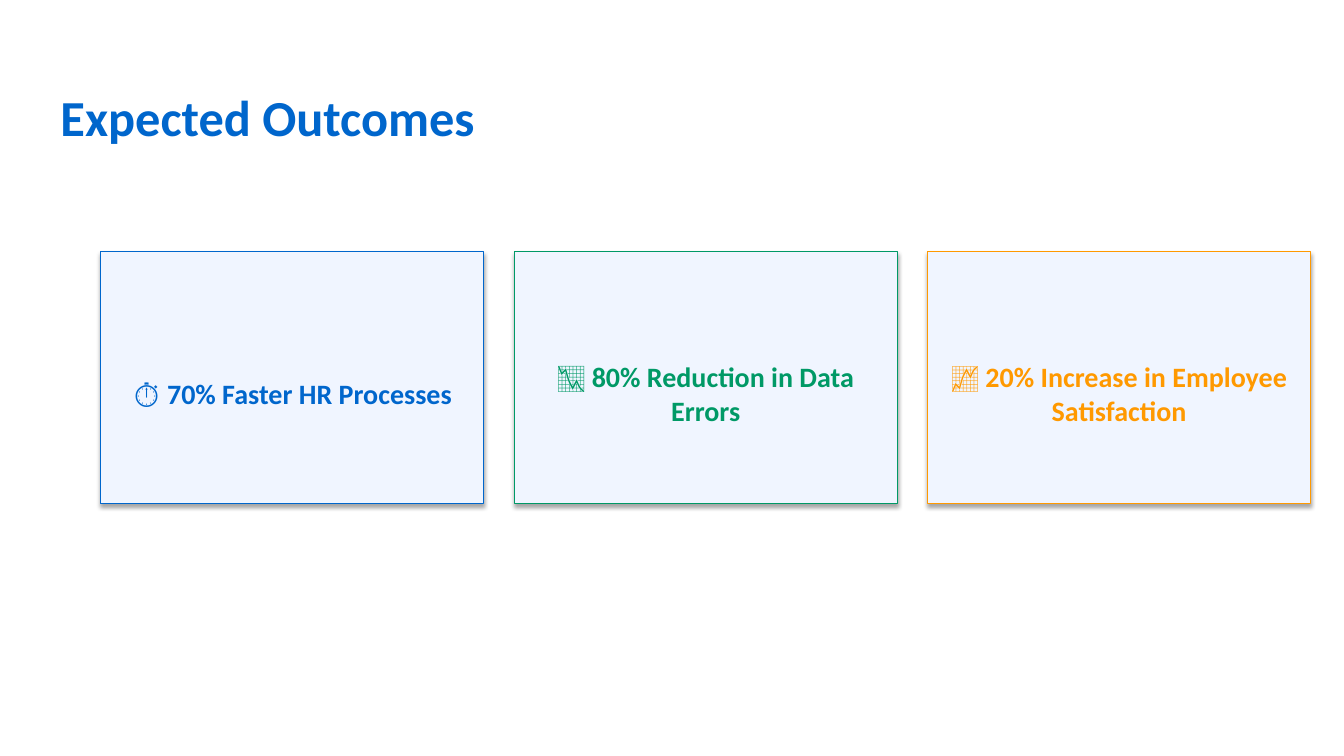
import dataclasses

import pptx
import pptx.dml.color
import pptx.enum.shapes
import pptx.enum.text
import pptx.slide
import pptx.text.text
import pptx.util

RGBColor = pptx.dml.color.RGBColor
BLUE = RGBColor(0x00, 0x66, 0xCC)
GREEN = RGBColor(0x00, 0x99, 0x66)
ORANGE = RGBColor(0xFF, 0x99, 0x00)
PALE_BLUE = RGBColor(0xF0, 0xF5, 0xFF)

FONT = "Calibri"
TOP_INSET = pptx.util.Inches(0.35)

# Card grid, in inches
GRID_LEFT, GRID_TOP = 1, 2.5
CARD_WIDTH, CARD_HEIGHT = 3.8, 2.5
GUTTER = 0.3


@dataclasses.dataclass(frozen=True)
class Outcome:
    text: str
    color: RGBColor


OUTCOMES = [
    Outcome("⏱ 70% Faster HR Processes", BLUE),
    Outcome("📉 80% Reduction in Data Errors", GREEN),
    Outcome("📈 20% Increase in Employee Satisfaction", ORANGE),
]


def write_text(tf: pptx.text.text.TextFrame, text: str, size: float, color: RGBColor,
               align: pptx.enum.text.PP_ALIGN, anchor: pptx.enum.text.MSO_ANCHOR) -> None:
    """Fill a text frame with one bold line of text, lowered by the top inset."""
    tf.text = text
    tf.word_wrap = True
    tf.margin_top = TOP_INSET
    tf.vertical_anchor = anchor
    p = tf.paragraphs[0]
    p.alignment = align
    r = p.runs[0]
    r.font.name = FONT
    r.font.size = pptx.util.Pt(size)
    r.font.bold = True
    r.font.color.rgb = color


def add_title(s: pptx.slide.Slide, text: str) -> None:
    sp = s.shapes.title
    sp.left = sp.top = pptx.util.Inches(0.5)
    sp.width, sp.height = pptx.util.Inches(12), pptx.util.Inches(1.01)
    write_text(sp.text_frame, text, 36, BLUE,
               pptx.enum.text.PP_ALIGN.LEFT, pptx.enum.text.MSO_ANCHOR.TOP)
    sp.text_frame.auto_size = pptx.enum.text.MSO_AUTO_SIZE.SHAPE_TO_FIT_TEXT


def add_card(s: pptx.slide.Slide, column: int, outcome: Outcome) -> None:
    """Draw one outcome card; it keeps the theme's soft shadow."""
    left = GRID_LEFT + column * (CARD_WIDTH + GUTTER)
    sp = s.shapes.add_shape(
        pptx.enum.shapes.MSO_SHAPE.RECTANGLE,
        pptx.util.Inches(left), pptx.util.Inches(GRID_TOP),
        pptx.util.Inches(CARD_WIDTH), pptx.util.Inches(CARD_HEIGHT))
    sp.fill.solid()
    sp.fill.fore_color.rgb = PALE_BLUE
    sp.line.color.rgb = outcome.color
    sp.line.width = pptx.util.Pt(0.75)
    write_text(sp.text_frame, outcome.text, 20, outcome.color,
               pptx.enum.text.PP_ALIGN.CENTER, pptx.enum.text.MSO_ANCHOR.MIDDLE)


def main() -> None:
    prs = pptx.Presentation()
    prs.slide_width = pptx.util.Inches(13.33)
    prs.slide_height = pptx.util.Inches(7.5)
    s = prs.slides.add_slide(prs.slide_layouts.get_by_name("Title Only"))

    # Heading
    add_title(s, "Expected Outcomes")

    # Outcome cards
    for column, outcome in enumerate(OUTCOMES):
        add_card(s, column, outcome)

    prs.save("out.pptx")


if __name__ == "__main__":
    main()
